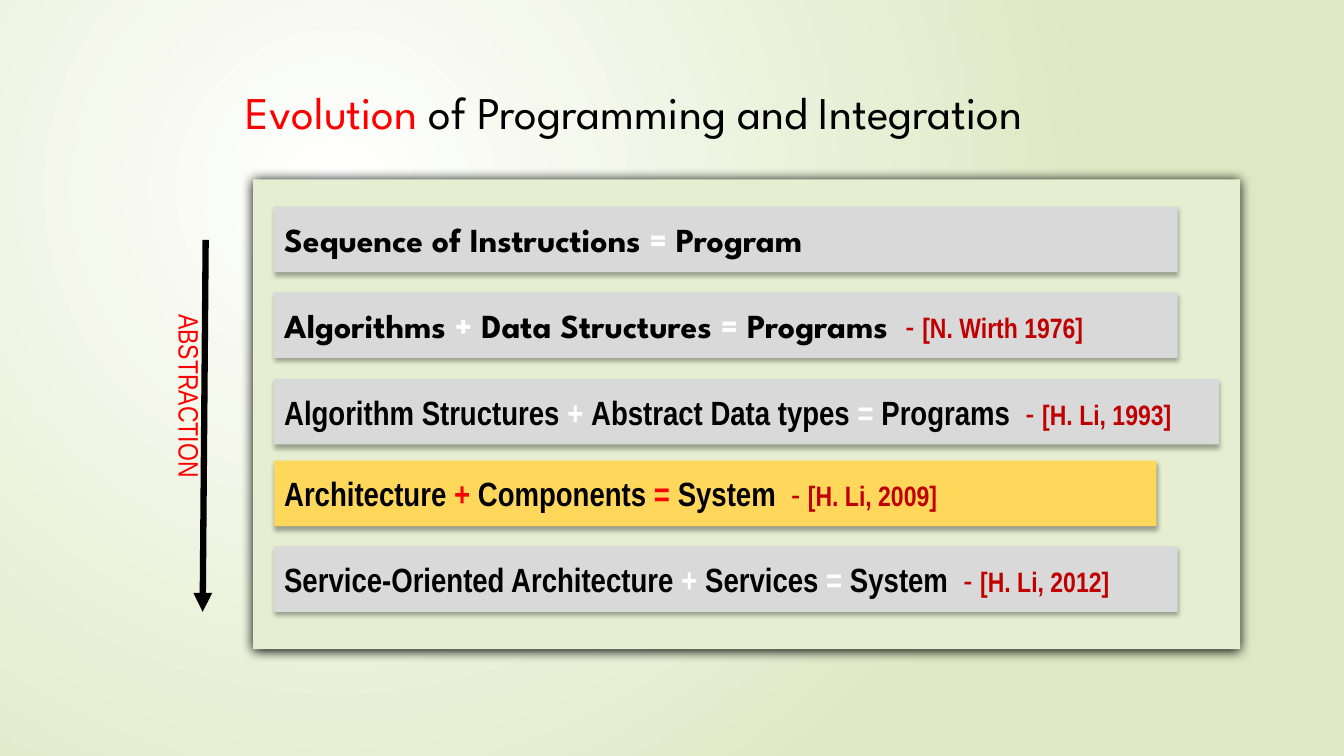
from lxml import etree
from pptx import Presentation
from pptx.dml.color import RGBColor
from pptx.enum.shapes import MSO_CONNECTOR as Connector, MSO_SHAPE as Shape
from pptx.enum.text import MSO_ANCHOR as Anchor, PP_ALIGN as Align
from pptx.oxml.ns import qn
from pptx.util import Inches, Pt

BLACK = RGBColor(0x00, 0x00, 0x00)
WHITE = RGBColor(0xFF, 0xFF, 0xFF)
RED = RGBColor(0xFF, 0x00, 0x00)
DARK_RED = RGBColor(0xC0, 0x00, 0x00)
GREY = RGBColor(0xD9, 0xD9, 0xD9)
YELLOW = RGBColor(0xFF, 0xD8, 0x5B)
PALE_GREEN = RGBColor(0xE6, 0xED, 0xD1)
SOFT_GREEN = RGBColor(0xDF, 0xE8, 0xC4)

SPARTAN = "League Spartan"
NARROW = "Arial Narrow"

# top, width, fill, operator colour, font, formula, citation
STAGES = [
    (2.05, 8.96, GREY, WHITE, SPARTAN,
     ["Sequence of Instructions ", "=", " Program"], None),
    (2.9, 8.96, GREY, WHITE, SPARTAN,
     ["Algorithms ", "+", " Data Structures ", "=", " Programs  "],
     "[N. Wirth 1976]"),
    (3.76, 9.37, GREY, WHITE, NARROW,
     ["Algorithm Structures ", "+ ", "Abstract Data types ", "= ", "Programs  "],
     "[H. Li, 1993]"),
    (4.57, 8.75, YELLOW, RED, NARROW,
     ["Architecture ", "+ ", "Components ", "= ", "System  "],
     "[H. Li, 2009]"),
    (5.42, 8.96, GREY, WHITE, NARROW,
     ["Service-Oriented Architecture ", "+ ", "Services ", "= ", "System  "],
     "[H. Li, 2012]"),
]


def paint_background(slide):
    """Radial gradient, white at the upper left and green outwards."""
    fill = slide.background.fill
    fill.gradient()
    for stop, color in zip(fill.gradient_stops, (WHITE, SOFT_GREEN)):
        stop.color.rgb = color
    gradient = slide.element.find(".//" + qn("a:gradFill"))
    gradient.remove(gradient.find(qn("a:lin")))
    circle = etree.SubElement(gradient, qn("a:path"), path="circle")
    etree.SubElement(circle, qn("a:fillToRect"),
                     l="50000", t="50000", r="100000", b="100000")


def add_run(paragraph, text, size, font, color, bold=False):
    run = paragraph.add_run()
    run.text = text
    run.font.size = Pt(size)
    run.font.name = font
    run.font.color.rgb = color
    run.font.bold = bold


def add_text_box(slide, left, top, width, height):
    frame = slide.shapes.add_textbox(
        Inches(left), Inches(top), Inches(width), Inches(height)).text_frame
    frame.word_wrap = True
    return frame


def add_shadowed_bar(group, left, top, width, height, color, alpha, blur, distance):
    bar = group.shapes.add_shape(Shape.RECTANGLE, Inches(left), Inches(top),
                                 Inches(width), Inches(height))
    bar.fill.solid()
    bar.fill.fore_color.rgb = color
    bar.line.fill.background()
    bar.shadow.inherit = False
    effects = bar.element.spPr.find(qn("a:effectLst"))
    shadow = etree.SubElement(effects, qn("a:outerShdw"), blurRad=str(Pt(blur)),
                              dist=str(Pt(distance)), dir="5400000", rotWithShape="0")
    shade = etree.SubElement(shadow, qn("a:srgbClr"), val=str(BLACK))
    etree.SubElement(shade, qn("a:alpha"), val=str(alpha * 1000))
    return bar


def add_stage(group, top, width, color, operator_color, font, formula, citation):
    bar = add_shadowed_bar(group, 2.72, top, width, 0.65, color, 32, 3.5, 2.2)
    bar.text_frame.word_wrap = True
    bar.text_frame.vertical_anchor = Anchor.MIDDLE
    paragraph = bar.text_frame.paragraphs[0]
    paragraph.alignment = Align.LEFT
    for term in formula:
        term_color = operator_color if term.strip() in ("+", "=") else BLACK
        add_run(paragraph, term, 24, font, term_color, bold=True)
    if citation:
        add_run(paragraph, "- ", 24, NARROW, DARK_RED)
        add_run(paragraph, citation, 20, NARROW, DARK_RED, bold=True)


def add_title(slide):
    frame = add_text_box(slide, 2.34, 0.71, 9.75, 0.79)
    frame.vertical_anchor = Anchor.MIDDLE
    title = frame.paragraphs[0]
    add_run(title, "Evolution", 32.4, SPARTAN, RED)
    add_run(title, " of Programming and Integration", 32.4, SPARTAN, BLACK)


def add_abstraction_axis(slide):
    frame = add_text_box(slide, 1.56, 3.02, 0.54, 1.87)
    frame._txBody.bodyPr.set("vert", "eaVert")
    add_run(frame.paragraphs[0], "ABSTRACTION", 20, NARROW, RED)

    arrow = slide.shapes.add_connector(Connector.STRAIGHT, Inches(2.04), Inches(2.38),
                                       Inches(2.01), Inches(6.07))
    arrow.line.color.rgb = BLACK
    arrow.line.width = Pt(4.5)
    etree.SubElement(arrow.line._get_or_add_ln(), qn("a:tailEnd"), type="triangle")
    etree.SubElement(arrow.element.spPr, qn("a:effectLst"))


def main():
    deck = Presentation()
    deck.slide_width, deck.slide_height = Inches(13.33), Inches(7.5)
    slide = deck.slides.add_slide(deck.slide_layouts[6])
    paint_background(slide)
    add_title(slide)
    stages = slide.shapes.add_group_shape()
    add_shadowed_bar(stages, 2.51, 1.78, 9.79, 4.66, PALE_GREEN, 100, 8.5, 1)
    for stage in STAGES:
        add_stage(stages, *stage)
    add_abstraction_axis(slide)
    deck.save("out.pptx")


if __name__ == "__main__":
    main()
